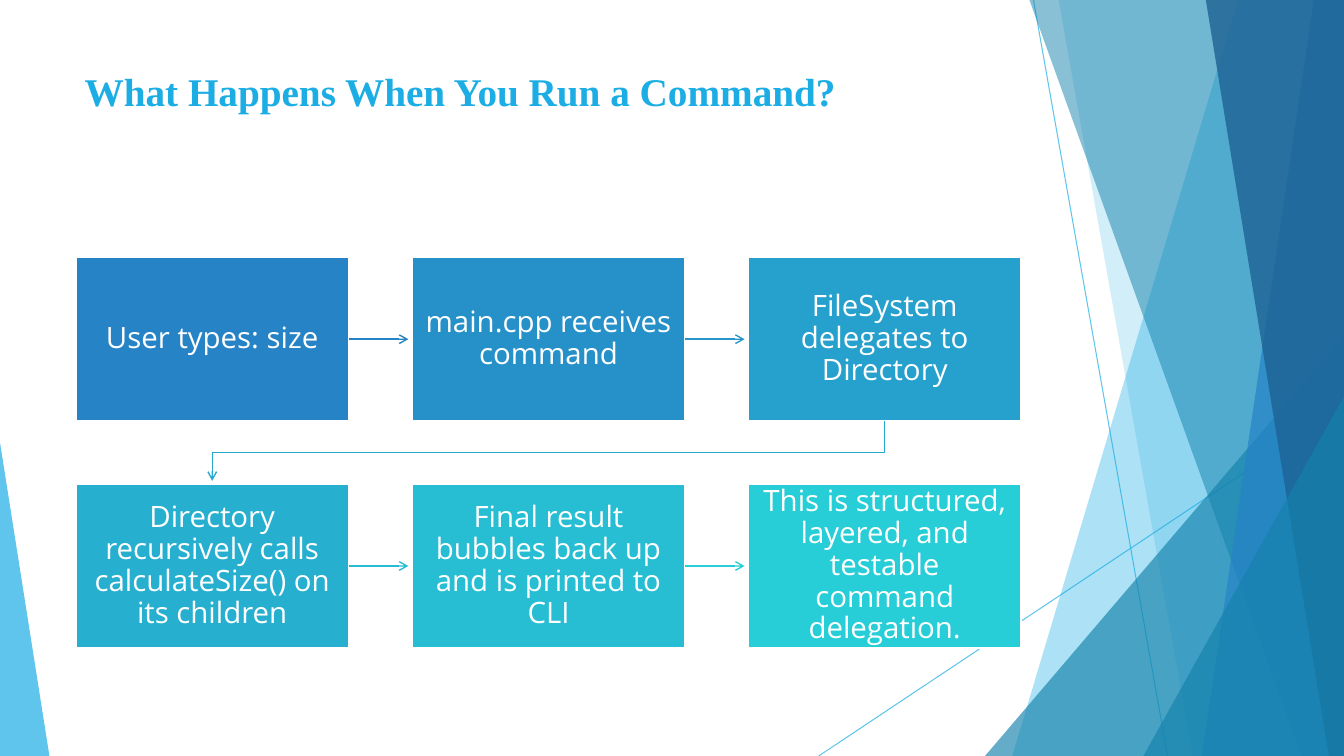
from dataclasses import dataclass

from pptx import Presentation
from pptx.dml.color import RGBColor
from pptx.enum import shapes as sh, text as tx
from pptx.oxml import ns, xmlchemy as xc
from pptx.util import Inches, Pt

HUES = {
    "sky": "1CADE4", "teal": "1482AC", "blue": "2683C6", "navy": "1D6294",
    "white": "FFFFFF",
    "box1": "2683C6", "box2": "2691C9", "box3": "26A0CD",
    "box4": "27AFD0", "box5": "27BED4", "box6": "27CED7",
    "link1": "2683C6", "link2": "2695CA", "link3": "27A7CE",
    "link4": "27BAD3", "link5": "27CED7",
}
WIDE, HIGH = 13.33, 7.5


@dataclass
class Band:
    """A slanted band that runs to the right edge of the slide."""
    top: float
    foot: float
    hue: str
    alpha: int


@dataclass
class Wedge:
    """A right triangle standing on the bottom edge of the slide."""
    left: float
    top: float
    width: float
    peak: float
    hue: str
    alpha: int


@dataclass
class Step:
    text: str
    hue: str
    link: str = ""


DECOR = [
    Band(12.28, 10.04, "sky", 36),
    Band(10.5, 11.83, "sky", 20),
    Wedge(9.77, 3.33, 3.56, 1, "teal", 66),
    Band(10.21, 12.91, "teal", 50),
    Band(13.03, 11.92, "blue", 70),
    Band(11.96, 13.18, "navy", 80),
    Wedge(11.34, 3.93, 1.99, 1, "teal", 66),
    Wedge(0, 4.39, 0.49, 0, "sky", 70),
]
RAYS = [(10.25, 0, 11.58, HIGH), (WIDE, 4.03, 8.12, HIGH)]
STEPS = [
    Step("User types: size", "box1", "link1"),
    Step("main.cpp receives command", "box2", "link2"),
    Step("FileSystem delegates to Directory", "box3", "link3"),
    Step("Directory recursively calls calculateSize() on its children", "box4", "link4"),
    Step("Final result bubbles back up and is printed to CLI", "box5", "link5"),
    Step("This is structured, layered, and testable command delegation.", "box6"),
]
# Grid of steps
COLS, LEFT, TOP = 3, 0.75, 2.55
BOX_W, BOX_H = 2.71, 1.63
STEP_X, STEP_Y = 3.335, 2.25
REACH = 0.59


def color(name: str) -> RGBColor:
    return RGBColor.from_string(HUES[name])


def fade(part, alpha: int) -> None:
    """Make the solid colour of a fill or line partly clear."""
    for clr in part.iter(ns.qn("a:srgbClr")):
        node = xc.OxmlElement("a:alpha")
        node.set("val", str(alpha * 1000))
        clr.append(node)


def stroke(shape, name: str, width: float, arrow: bool = False) -> None:
    shape.line.color.rgb = color(name)
    shape.line.width = Pt(width)
    if arrow:
        tail = xc.OxmlElement("a:tailEnd")
        tail.set("type", "arrow")
        shape.line._get_or_add_ln().append(tail)


def line(slide, x1: float, y1: float, x2: float, y2: float):
    link = slide.shapes.add_connector(
        sh.MSO_CONNECTOR.STRAIGHT, *map(Inches, (x1, y1, x2, y2)))
    link._element.spPr.append(xc.OxmlElement("a:effectLst"))
    return link


def trace(slide, pts: list, close: bool):
    pts = [(Inches(x), Inches(y)) for x, y in pts]
    form = slide.shapes.build_freeform(*pts[0], scale=1.0)
    form.add_line_segments(pts[1:], close=close)
    shape = form.convert_to_shape()
    shape.shadow.inherit = False
    return shape


def block(slide, kind, x: float, y: float, w: float, h: float):
    shape = slide.shapes.add_shape(kind, *map(Inches, (x, y, w, h)))
    shape.shadow.inherit = False
    return shape


def draw_decor(slide) -> None:
    for ray in RAYS:
        link = line(slide, *ray)
        stroke(link, "sky", 0.75)
        fade(link._element.spPr, 70)
    for item in DECOR:
        if isinstance(item, Band):
            shape = trace(slide, [(item.top, 0), (WIDE, 0), (WIDE, HIGH),
                                  (item.foot, HIGH)], True)
        else:
            shape = block(slide, sh.MSO_SHAPE.ISOSCELES_TRIANGLE,
                          item.left, item.top, item.width, HIGH - item.top)
            shape.adjustments[0] = item.peak
        shape.fill.solid()
        shape.fill.fore_color.rgb = color(item.hue)
        shape.line.fill.background()
        fade(shape._element.spPr, item.alpha)


def draw_title(slide, words: str) -> None:
    title = slide.shapes.title
    title.left, title.top, title.width, title.height = map(
        Inches, (0.74, 0.67, 9.4, 1.44))
    frame = title.text_frame
    frame.text = words
    frame.auto_size = tx.MSO_AUTO_SIZE.NONE
    frame.vertical_anchor = tx.MSO_ANCHOR.TOP
    para = frame.paragraphs[0]
    para.alignment = tx.PP_ALIGN.LEFT
    para.line_spacing = 0.9
    font = para.runs[0].font
    font.name, font.size, font.bold = "Times New Roman", Pt(28), True
    font.color.rgb = color("sky")
    slide.shapes._spTree.append(title._element)  # in front of the decor


def draw_step(slide, step: Step, x: float, y: float):
    box = block(slide, sh.MSO_SHAPE.RECTANGLE, x, y, BOX_W, BOX_H)
    box.fill.solid()
    box.fill.fore_color.rgb = color(step.hue)
    stroke(box, "white", 1.5)
    frame = box.text_frame
    frame.text = step.text
    frame.word_wrap = True
    frame.vertical_anchor = tx.MSO_ANCHOR.MIDDLE
    frame.margin_left = frame.margin_right = Inches(0.13)
    frame.margin_top = frame.margin_bottom = Inches(0.14)
    para = frame.paragraphs[0]
    para.alignment = tx.PP_ALIGN.CENTER
    para.line_spacing = 0.9
    font = para.runs[0].font
    font.name, font.size = "Open Sans", Pt(21)
    font.color.rgb = color("white")
    return box


def draw_flow(slide) -> None:
    for i, step in enumerate(STEPS):
        row, col = divmod(i, COLS)
        x, y = LEFT + col * STEP_X, TOP + row * STEP_Y
        box = draw_step(slide, step, x, y)
        if not step.link:
            continue
        if col < COLS - 1:
            edge, mid = x + BOX_W, y + BOX_H / 2
            link = line(slide, edge, mid, edge + REACH, mid)
            link.begin_connect(box, 3)
        else:  # bend back to the start of the next row
            start, end = x + BOX_W / 2, LEFT + BOX_W / 2
            base = y + BOX_H
            link = trace(slide, [(start, base), (start, base + 0.31),
                                 (end, base + 0.31), (end, base + REACH)], False)
            link.fill.background()
        stroke(link, step.link, 1, arrow=True)


def main() -> None:
    deck = Presentation()
    deck.slide_width, deck.slide_height = Inches(WIDE), Inches(HIGH)
    slide = deck.slides.add_slide(deck.slide_layouts[5])
    draw_decor(slide)
    draw_title(slide, "What Happens When You Run a Command?")
    draw_flow(slide)
    deck.save("out.pptx")


if __name__ == "__main__":
    main()
